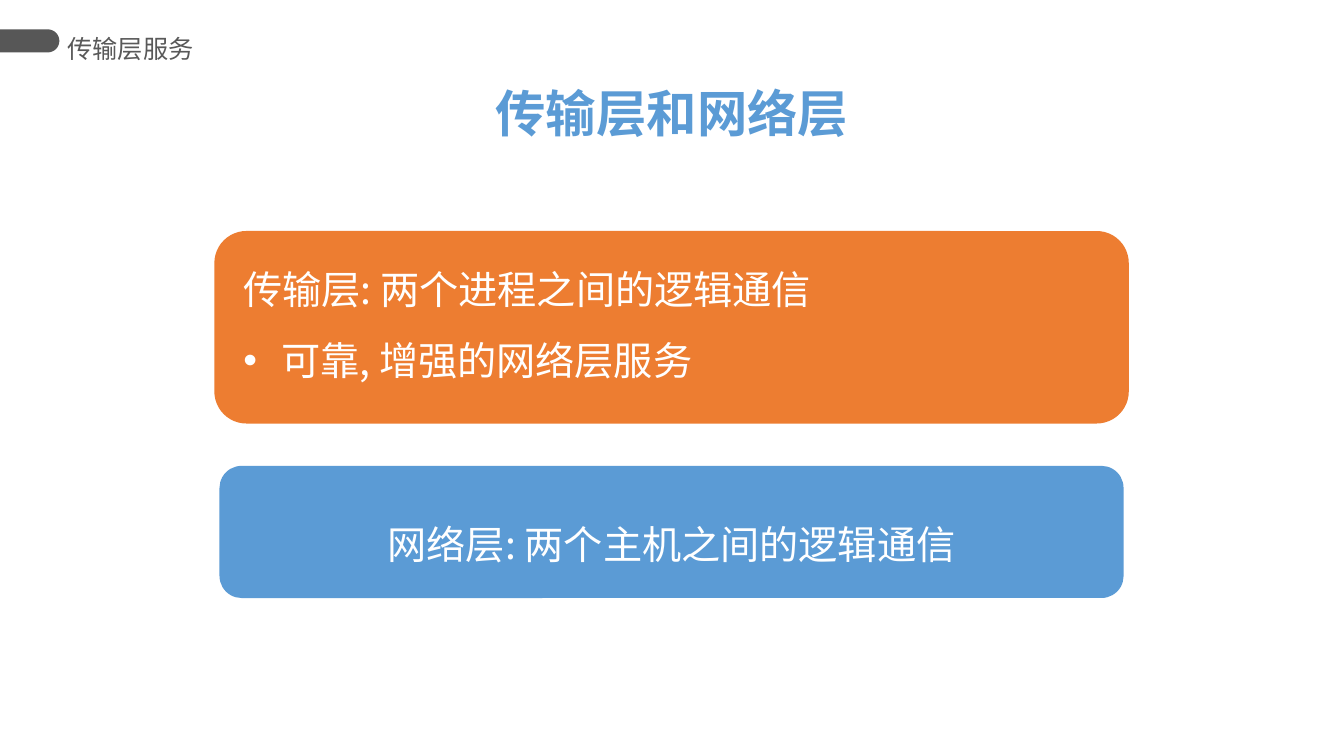
"""Build the slide comparing the transport layer with the network layer."""
from math import cos, pi, sin

from lxml.etree import SubElement
from pptx import Presentation
from pptx.dml.color import RGBColor
from pptx.enum.shapes import MSO_SHAPE as Shape
from pptx.enum.text import MSO_ANCHOR as Anchor, PP_ALIGN as Align
from pptx.oxml.ns import qn
from pptx.util import Pt

BLUE = RGBColor(0x5B, 0x9B, 0xD5)
ORANGE = RGBColor(0xED, 0x7D, 0x31)
WHITE = RGBColor(0xFF, 0xFF, 0xFF)
GREY = RGBColor(0x59, 0x59, 0x59)
TAB_GREY = RGBColor(0x57, 0x57, 0x57)
CJK = "Noto Sans CJK SC"

TITLE = "传输层和网络层"
SECTION = "传输层服务"
LAYERS = [
    {"lines": [("网络层: 两个主机之间的逻辑通信", False)], "fill": BLUE,
     "width": 645.8, "top": 332.8, "height": 94.4, "align": Align.CENTER, "lift": 0},
    {"lines": [("传输层: 两个进程之间的逻辑通信", False), ("可靠, 增强的网络层服务", True)],
     "fill": ORANGE, "width": 653.2, "top": 165, "height": 137.5,
     "align": Align.LEFT, "lift": 21},
]
SLIDE_WIDTH, SLIDE_HEIGHT = 960, 540
CENTER = 479.7
BULLET_INDENT = 27
TAB_TOP, TAB_RADIUS, TAB_STRAIGHT = 21, 8.2, 34.2
ARC_STEPS = 24


def write(frame, lines, size, color, font="Arial", align=Align.LEFT, bold=False,
          spacing=None, anchor=Anchor.MIDDLE, margins=(7.2, 3.6, 7.2, 3.6), wrap=True):
    """Fill a text frame with (text, bulleted) lines in one format."""
    frame.word_wrap = wrap
    frame.vertical_anchor = anchor
    (frame.margin_left, frame.margin_top,
     frame.margin_right, frame.margin_bottom) = map(Pt, margins)
    for index, (text, bulleted) in enumerate(lines):
        paragraph = frame.add_paragraph() if index else frame.paragraphs[0]
        paragraph.alignment = align
        if spacing:
            paragraph.line_spacing = spacing
        if bulleted:
            properties = paragraph._p.get_or_add_pPr()
            properties.set("marL", str(Pt(BULLET_INDENT)))
            properties.set("indent", str(-Pt(BULLET_INDENT)))
            SubElement(properties, qn("a:buFont")).set("typeface", "Arial")
            SubElement(properties, qn("a:buChar")).set("char", "•")
        run = paragraph.add_run()
        run.text = text
        run.font.size, run.font.bold, run.font.name = Pt(size), bold, font
        run.font.color.rgb = color
        SubElement(run._r.get_or_add_rPr(), qn("a:ea")).set("typeface", CJK)


def paint(shape, color):
    """Give a shape a plain fill without line or shadow."""
    shape.shadow.inherit = False
    shape.fill.solid()
    shape.fill.fore_color.rgb = color
    shape.line.fill.background()


def main():
    """Lay out and save the slide."""
    deck = Presentation()
    deck.slide_width, deck.slide_height = Pt(SLIDE_WIDTH), Pt(SLIDE_HEIGHT)
    slide = deck.slides.add_slide(deck.slide_layouts[5])
    shapes = slide.shapes

    angles = [pi * (step / ARC_STEPS - 0.5) for step in range(ARC_STEPS + 1)]
    arc = [(Pt(TAB_STRAIGHT + TAB_RADIUS * cos(angle)),
            Pt(TAB_TOP + TAB_RADIUS * (1 + sin(angle)))) for angle in angles]
    outline = shapes.build_freeform(0, Pt(TAB_TOP))
    outline.add_line_segments(arc + [(0, Pt(TAB_TOP + 2 * TAB_RADIUS))], close=True)
    paint(outline.convert_to_shape(), TAB_GREY)

    title = shapes.title
    title.left, title.top, title.width, title.height = map(Pt, (345.3, 55.4, 269.3, 51.1))
    write(title.text_frame, [(TITLE, False)], 36, BLUE, align=Align.CENTER,
          bold=True, anchor=Anchor.TOP, wrap=False)

    section = shapes.add_textbox(*map(Pt, (48.2, 13.7, 181.4, 41.8)))
    write(section.text_frame, [(SECTION, False)], 18, GREY, margins=(0, 3.6, 0, 3.6))

    for layer in LAYERS:
        left = CENTER - layer["width"] / 2
        box = shapes.add_shape(Shape.ROUNDED_RECTANGLE, *map(
            Pt, (left, layer["top"], layer["width"], layer["height"])))
        paint(box, layer["fill"])
        inset = 14 if layer["align"] == Align.LEFT else 7.2
        write(box.text_frame, layer["lines"], 28, WHITE, font=CJK,
              align=layer["align"], spacing=1.5,
              margins=(inset, 3.6, 7.2, 3.6 + layer["lift"]))

    deck.save("out.pptx")


if __name__ == "__main__":
    main()
